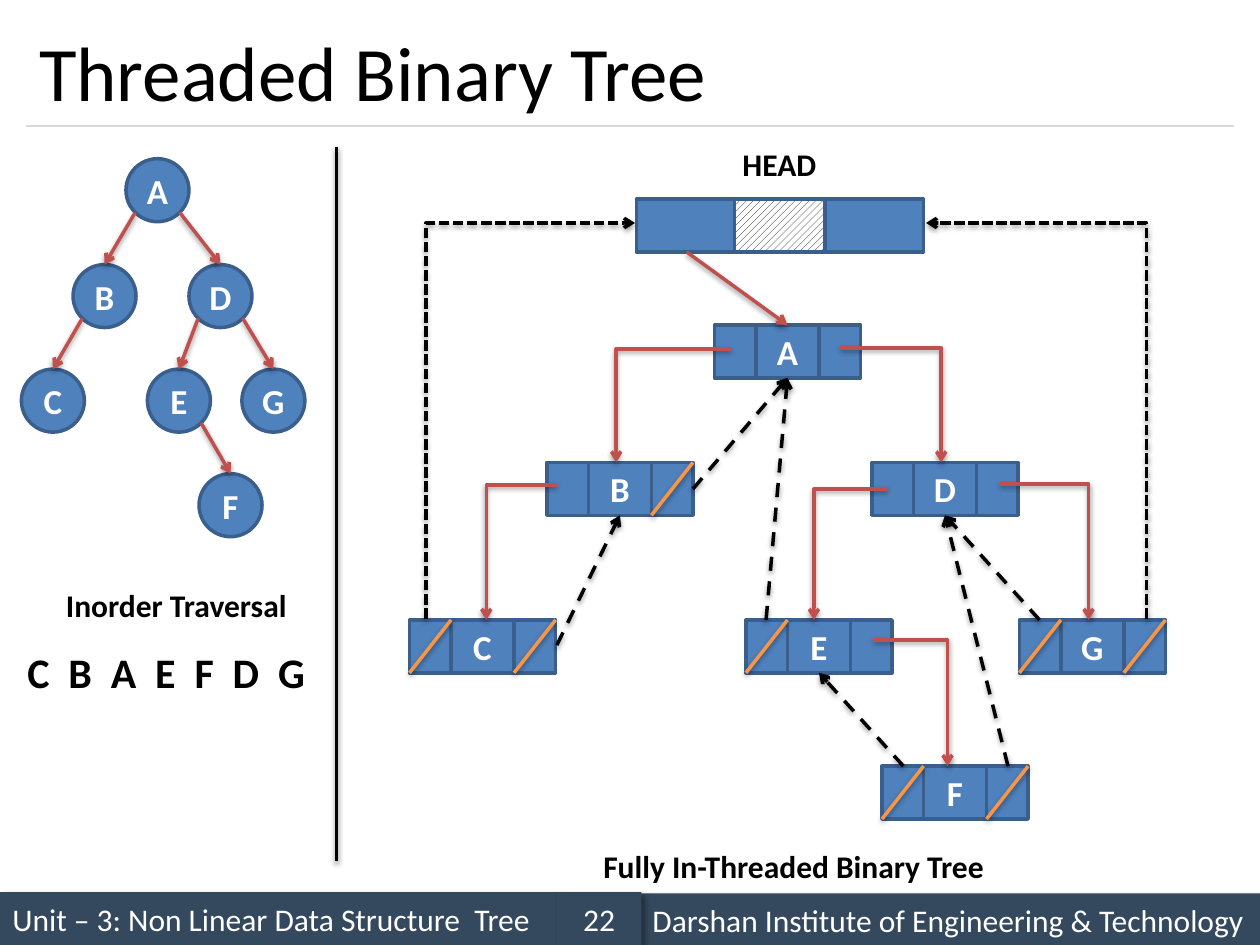
import math
from lxml import etree
from pptx import Presentation
from pptx.dml.color import RGBColor
from pptx.enum.dml import MSO_LINE, MSO_PATTERN
from pptx.enum.shapes import MSO_CONNECTOR, MSO_SHAPE
from pptx.enum.text import MSO_ANCHOR, MSO_AUTO_SIZE, PP_ALIGN
from pptx.oxml.ns import qn
from pptx.util import Inches, Pt

RECT, OVAL = MSO_SHAPE.RECTANGLE, MSO_SHAPE.OVAL
STRAIGHT = MSO_CONNECTOR.STRAIGHT
LEFT, CENTER = PP_ALIGN.LEFT, PP_ALIGN.CENTER
MIDDLE = MSO_ANCHOR.MIDDLE
DASH, SHORT_DASH = MSO_LINE.DASH, MSO_LINE.SQUARE_DOT
HATCH = MSO_PATTERN.WIDE_UPWARD_DIAGONAL
FIT = MSO_AUTO_SIZE.SHAPE_TO_FIT_TEXT

BLACK = RGBColor(0, 0, 0)
WHITE = RGBColor(0xFF, 0xFF, 0xFF)
HATCH_INK = RGBColor(0x0D, 0x0D, 0x0D)
RULE = RGBColor(0xD9, 0xD9, 0xD9)
SLATE = RGBColor(0x34, 0x49, 0x5E)
BLUE = RGBColor(0x4F, 0x81, 0xBD)
EDGE = RGBColor(0x3A, 0x5F, 0x8C)
RED = RGBColor(0xC0, 0x50, 0x4D)
ORANGE = RGBColor(0xF7, 0x96, 0x46)
FONT = "Calibri"

TITLE = "Threaded Binary Tree"
# text, left, top, width, alignment
FOOTER = [
    ("Unit – 3: Non Linear Data Structure  Tree", 0, 7.08, 4.42, LEFT),
    ("Darshan Institute of Engineering & Technology", 5.08, 7.09, 4.92, LEFT),
    ("22", 4.42, 7.08, 0.67, CENTER),
]
# text, left, top, width, height, size, letter spacing
LABELS = [
    ("C B A E F D G", 0.11, 5.08, 2.42, 0.5, 24, 2.7),
    ("Inorder Traversal", 0.42, 4.6, 1.96, 0.4, 18, 0),
    ("HEAD", 5.79, 1.1, 0.79, 0.4, 18, 0),
    ("Fully In-Threaded Binary Tree", 4.67, 6.67, 3.26, 0.4, 18, 0),
]

# Plain tree: circle centres, and edges as parent + child
CIRCLE = 0.5
CIRCLES = {"A": (1.25, 1.51), "B": (0.83, 2.35), "C": (0.42, 3.18),
           "E": (1.42, 3.18), "D": (1.75, 2.35), "G": (2.17, 3.18),
           "F": (1.83, 4.01)}
EDGES = ["AB", "BC", "AD", "DE", "DG", "EF"]

# Threaded tree: centre x and top of each three-cell node
CELL_H, DATA_W, LINK_W = 0.42, 0.5, 0.33
NODES = {"A": (6.25, 2.58), "B": (4.92, 3.67), "D": (7.5, 3.67),
         "C": (3.83, 4.92), "E": (6.5, 4.92), "G": (8.67, 4.92),
         "F": (7.58, 6.08)}
HEAD_X, HEAD_TOP, HEAD_DATA_W, HEAD_LINK_W = 6.19, 1.58, 0.72, 0.78
# start of the link, x where it drops, child
LINKS = [(5.8, 2.77, 4.89, "B"), (4.42, 3.85, 3.86, "C"),
         (6.67, 2.76, 7.47, "D"), (7.04, 3.88, 6.46, "E"),
         (7.93, 3.84, 8.64, "G"), (6.93, 5.08, 7.52, "F")]
# node, side (-1 left, 1 right) of each empty link
EMPTY_LINKS = [("B", 1), ("C", -1), ("C", 1), ("E", -1),
               ("G", -1), ("G", 1), ("F", 1), ("F", -1)]
# start of the thread, node it points back to
THREADS = [(5.5, 3.88, "A"), (4.42, 5.12, "B"), (6.08, 4.92, "A"),
           (7.17, 6.08, "E"), (8, 6.08, "D"), (8.25, 4.92, "D")]
HEAD_THREADS = [[(3.38, 4.91), (3.38, 1.77), (5.04, 1.77)],
                [(9.1, 4.91), (9.1, 1.77), (7.35, 1.77)]]

prs = Presentation()
prs.slide_width, prs.slide_height = Inches(10), Inches(7.5)
slide = prs.slides.add_slide(prs.slide_layouts[5])
shapes = slide.shapes


def add_effects(sp, blur=None, dist=0, angle=0, alpha=0):
    """Give sp an outer shadow, or an empty effect list without blur."""
    effects = etree.SubElement(sp.element.spPr, qn("a:effectLst"))
    if blur is None:
        return
    shadow = etree.SubElement(effects, qn("a:outerShdw"), blurRad=str(Pt(blur)),
                              dist=str(Pt(dist)), dir=str(angle * 60000),
                              rotWithShape="0")
    color = etree.SubElement(shadow, qn("a:srgbClr"), val="000000")
    etree.SubElement(color, qn("a:alpha"), val=str(alpha * 1000))


def write(tf, text, size, color, align=CENTER, bold=True):
    p = tf.paragraphs[0]
    p.alignment = align
    r = p.add_run()
    r.text = text
    r.font.name, r.font.size, r.font.bold = FONT, Pt(size), bold
    r.font.color.rgb = color
    return r


def add_box(kind, left, top, width, height, text=""):
    sp = shapes.add_shape(kind, *map(Inches, (left, top, width, height)))
    sp.shadow.inherit = False
    sp.fill.solid()
    sp.fill.fore_color.rgb = BLUE
    sp.line.color.rgb, sp.line.width = EDGE, Pt(2)
    if text:
        tf = sp.text_frame
        tf.margin_left = tf.margin_right = 0
        tf.vertical_anchor = MIDDLE
        write(tf, text, 20, WHITE)
    return sp


def add_cells(x, top, data_w, link_w, text=""):
    """Draw link, data and link cells centred on x; return the data cell."""
    data = add_box(RECT, x - data_w / 2, top, data_w, CELL_H, text)
    for left in (x - data_w / 2 - link_w, x + data_w / 2):
        add_box(RECT, left, top, link_w, CELL_H)
    return data


def add_path(points, color, arrow=True, dash=None):
    """Draw a straight or bent line through points."""
    pts = [(Inches(x), Inches(y)) for x, y in points]
    if len(pts) == 2:
        sp = shapes.add_connector(STRAIGHT, *pts[0], *pts[1])
    else:
        builder = shapes.build_freeform(*pts[0])
        builder.add_line_segments(pts[1:], close=False)
        sp = builder.convert_to_shape()
        sp.fill.background()
    sp.line.color.rgb, sp.line.width = color, Pt(2)
    if dash:
        sp.line.dash_style = dash
    if arrow:
        etree.SubElement(sp.element.spPr.find(qn("a:ln")), qn("a:tailEnd"), type="arrow")
    add_effects(sp, 3.1, 1.6, 90, 38)


for text, left, top, width, align in FOOTER:
    sp = shapes.add_shape(RECT, *map(Inches, (left, top, width, 0.42)))
    sp.fill.solid()
    sp.fill.fore_color.rgb = SLATE
    sp.line.fill.background()
    add_effects(sp, 4, 3, 45, 40)
    sp.text_frame.vertical_anchor = MIDDLE
    write(sp.text_frame, text, 18, WHITE, align, bold=False)

rule = shapes.add_connector(STRAIGHT, *map(Inches, (0.21, 1, 9.79, 1)))
rule.line.color.rgb, rule.line.width = RULE, Pt(0.75)
add_effects(rule)

title = shapes.title
title.left, title.top, title.width, title.height = map(Inches, (0.21, 0.12, 9.58, 0.88))
title.text_frame.vertical_anchor = MIDDLE
write(title.text_frame, TITLE, 44, BLACK, LEFT, bold=False)

for name, (x, y) in CIRCLES.items():
    add_box(OVAL, x - CIRCLE / 2, y - CIRCLE / 2, CIRCLE, CIRCLE, name)
reach = CIRCLE / 2 * math.sqrt(0.5)
for parent, child in EDGES:
    (px, py), (cx, cy) = CIRCLES[parent], CIRCLES[child]
    start = (px + math.copysign(reach, cx - px), py + reach)
    add_path([start, (cx, cy - CIRCLE / 2)], RED)
add_path([(2.67, 1.17), (2.67, 6.83)], BLACK, arrow=False)

for name, (x, top) in NODES.items():
    add_cells(x, top, DATA_W, LINK_W, name)
hatched = add_cells(HEAD_X, HEAD_TOP, HEAD_DATA_W, HEAD_LINK_W)
hatched.fill.patterned()
hatched.fill.pattern = HATCH
hatched.fill.fore_color.rgb, hatched.fill.back_color.rgb = HATCH_INK, WHITE

for x, y, drop_x, child in LINKS:
    add_path([(x, y), (drop_x, y), (drop_x, NODES[child][1])], RED)
for name, side in EMPTY_LINKS:
    x, top = NODES[name]
    left = x - DATA_W / 2 - LINK_W if side < 0 else x + DATA_W / 2
    add_path([(left + LINK_W, top), (left, top + CELL_H)], ORANGE, arrow=False)
for x, y, name in THREADS:
    target_x, top = NODES[name]
    add_path([(x, y), (target_x, top + CELL_H)], BLACK, dash=DASH)
for points in HEAD_THREADS:
    add_path(points, BLACK, dash=SHORT_DASH)
add_path([(5.45, HEAD_TOP + CELL_H), NODES["A"]], RED)

for text, left, top, width, height, size, spacing in LABELS:
    tb = shapes.add_textbox(*map(Inches, (left, top, width, height)))
    tf = tb.text_frame
    tf.word_wrap, tf.auto_size = False, FIT
    r = write(tf, text, size, BLACK)
    if spacing:
        r.font._element.set("spc", str(round(spacing * 100)))

prs.save("out.pptx")
